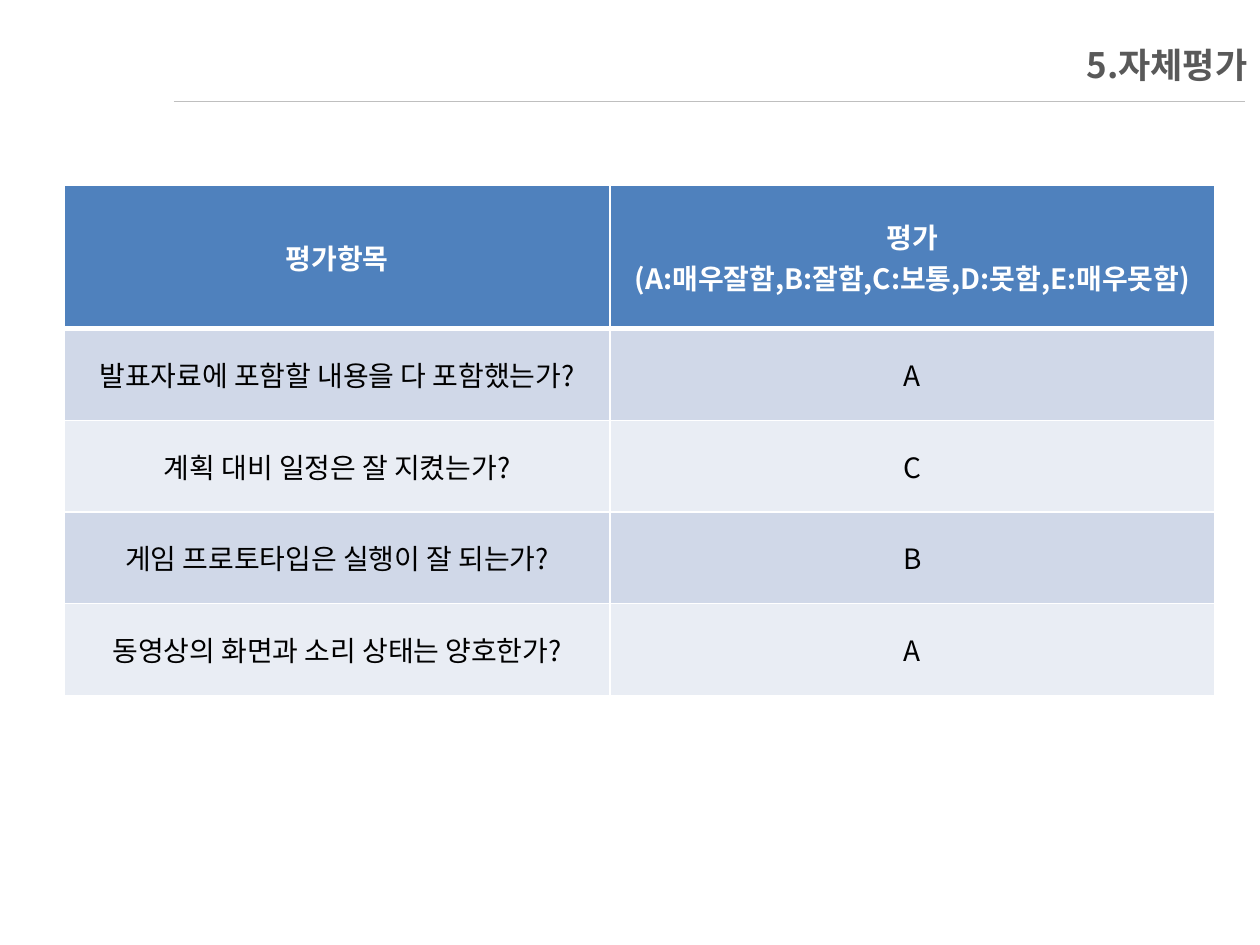
from lxml.etree import SubElement
from pptx import Presentation
from pptx.dml.color import RGBColor
from pptx.enum.dml import MSO_LINE
from pptx.enum.shapes import MSO_CONNECTOR
from pptx.enum.text import MSO_ANCHOR, PP_ALIGN
from pptx.oxml.ns import qn
from pptx.util import Pt

TITLE = "5.자체평가"
ROWS = [
    ("평가항목", "평가\n(A:매우잘함,B:잘함,C:보통,D:못함,E:매우못함)"),
    ("발표자료에 포함할 내용을 다 포함했는가?", "A"),
    ("계획 대비 일정은 잘 지켰는가?", "C"),
    ("게임 프로토타입은 실행이 잘 되는가?", "B"),
    ("동영상의 화면과 소리 상태는 양호한가?", "A"),
]
COLUMN_WIDTHS = (311.8, 345.6)
HEADER_HEIGHT, BODY_HEIGHT = 82, 52.4
TABLE_LEFT, TABLE_TOP = 36.8, 105.8

FONT = "Noto Sans CJK KR"
WHITE = RGBColor(0xFF, 0xFF, 0xFF)
BLACK = RGBColor(0, 0, 0)
GRAY = RGBColor(0x59, 0x59, 0x59)
RULE_GRAY = RGBColor(0xBF, 0xBF, 0xBF)
HEADER_BLUE = RGBColor(0x4F, 0x81, 0xBD)
BANDS = (RGBColor(0xE9, 0xED, 0xF4), RGBColor(0xD0, 0xD8, 0xE8))


def style_text(frame, size, color, bold, align):
    for para in frame.paragraphs:
        para.alignment = align
        font = para.font
        font.size, font.bold, font.name = Pt(size), bold, FONT
        font.color.rgb = color
        SubElement(font._element, qn("a:ea")).set("typeface", FONT)


def set_borders(cell, bottom):
    properties = cell._tc.get_or_add_tcPr()
    for side, width in (("L", 1), ("R", 1), ("T", 1), ("B", bottom)):
        line = SubElement(properties, qn(f"a:ln{side}"), w=str(Pt(width)))
        fill = SubElement(line, qn("a:solidFill"))
        SubElement(fill, qn("a:srgbClr"), val=str(WHITE))


def add_heading(page):
    rule = page.shapes.add_connector(
        MSO_CONNECTOR.STRAIGHT, Pt(99.4), Pt(57.6), Pt(711.4), Pt(57.6))
    rule.line.color.rgb = RULE_GRAY
    rule.line.width = Pt(0.25)
    rule.line.dash_style = MSO_LINE.ROUND_DOT
    SubElement(rule._element.spPr, qn("a:effectLst"))

    box = page.shapes.add_textbox(Pt(72), Pt(20.9), Pt(648), Pt(32.4))
    frame = box.text_frame
    frame.word_wrap = True
    frame.vertical_anchor = MSO_ANCHOR.MIDDLE
    frame.text = TITLE
    style_text(frame, 20, GRAY, True, PP_ALIGN.RIGHT)


def add_evaluation_table(page):
    heights = [HEADER_HEIGHT] + [BODY_HEIGHT] * (len(ROWS) - 1)
    table = page.shapes.add_table(
        len(ROWS), len(COLUMN_WIDTHS), Pt(TABLE_LEFT), Pt(TABLE_TOP),
        Pt(sum(COLUMN_WIDTHS)), Pt(sum(heights))).table
    for column, width in zip(table.columns, COLUMN_WIDTHS):
        column.width = Pt(width)
    for index, (texts, height) in enumerate(zip(ROWS, heights)):
        header = index == 0
        table.rows[index].height = Pt(height)
        for cell, text in zip(table.rows[index].cells, texts):
            cell.text = text
            cell.vertical_anchor = MSO_ANCHOR.MIDDLE
            set_borders(cell, 3 if header else 1)
            cell.fill.solid()
            cell.fill.fore_color.rgb = HEADER_BLUE if header else BANDS[index % 2]
            style_text(cell.text_frame, 16, WHITE if header else BLACK,
                       header, PP_ALIGN.CENTER)


def main():
    deck = Presentation()
    deck.slide_width, deck.slide_height = Pt(720), Pt(540)
    page = deck.slides.add_slide(deck.slide_layouts[6])
    add_heading(page)
    add_evaluation_table(page)
    deck.save("out.pptx")


if __name__ == "__main__":
    main()
